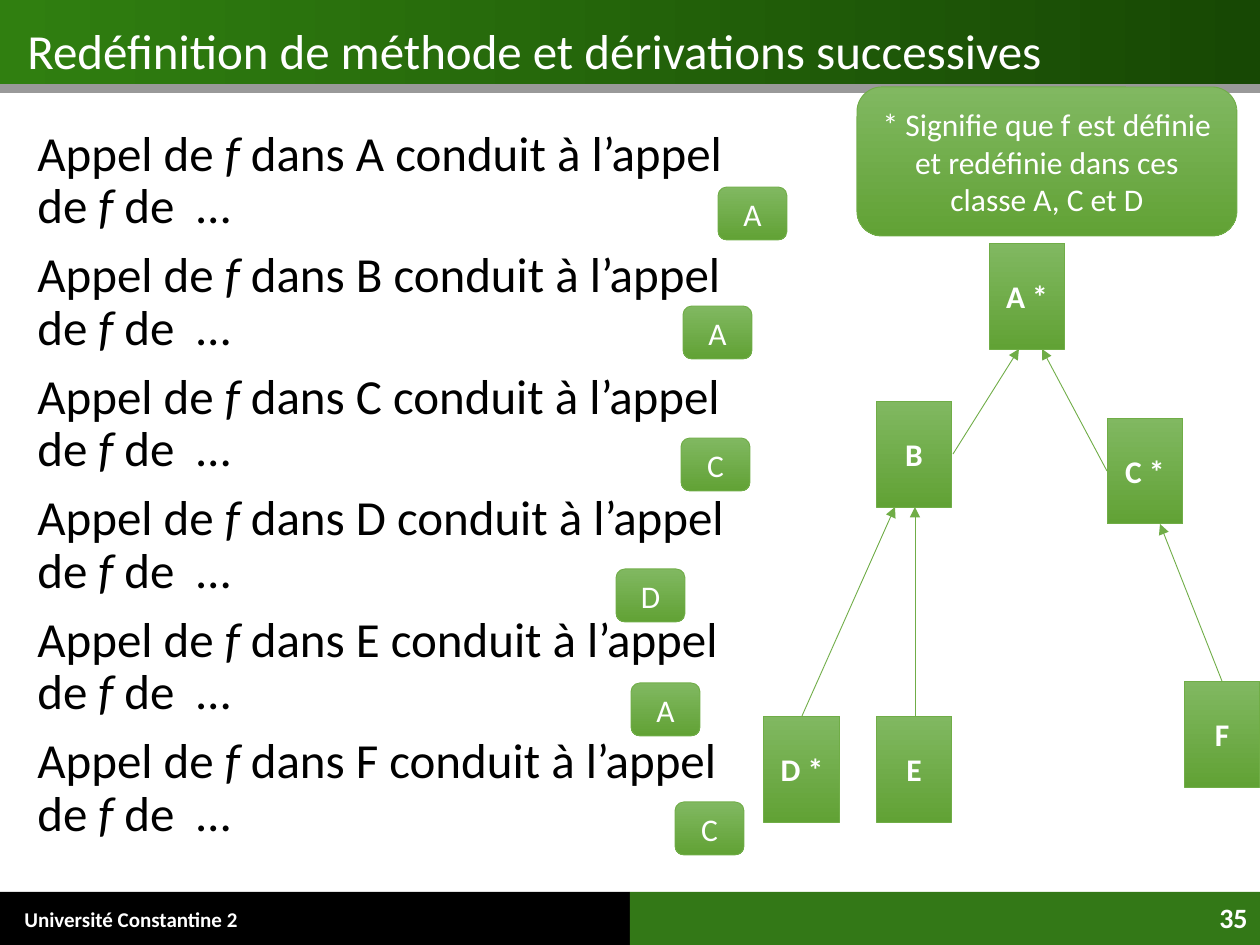
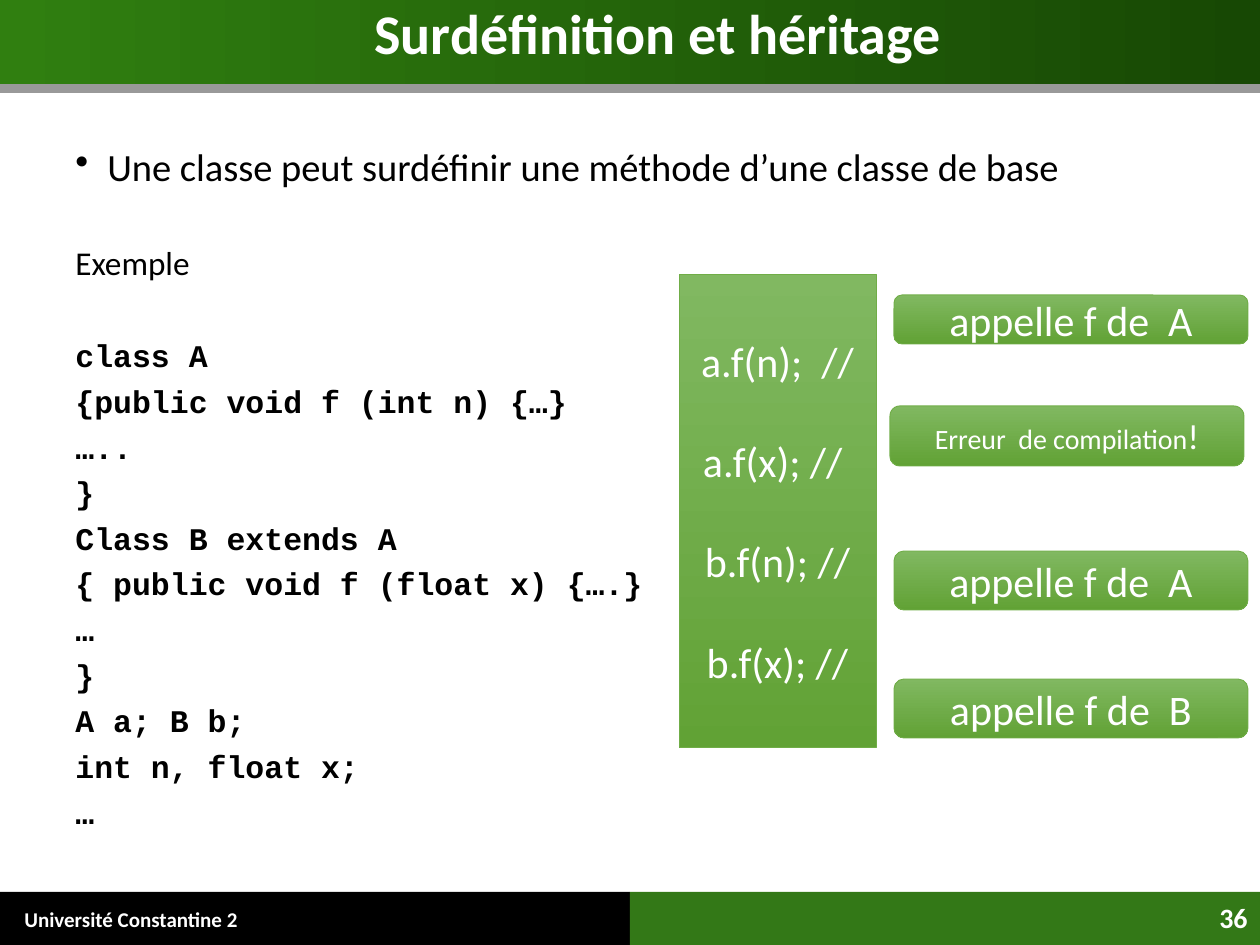
import dataclasses
import typing

import lxml.etree
import pptx
import pptx.dml.color
import pptx.enum.shapes
import pptx.enum.text
import pptx.oxml.ns
import pptx.util

RGBColor = pptx.dml.color.RGBColor
Align = pptx.enum.text.PP_ALIGN
Anchor = pptx.enum.text.MSO_ANCHOR
Shape = pptx.enum.shapes.MSO_SHAPE

PX_PER_INCH = 126
WHITE = RGBColor(0xFF, 0xFF, 0xFF)
BLACK = RGBColor(0x00, 0x00, 0x00)
BAND_DARK = RGBColor(0x17, 0x48, 0x04)
BAND_LIGHT = RGBColor(0x30, 0x7F, 0x10)
FOOTER_GREEN = RGBColor(0x33, 0x78, 0x17)
BOX_TOP = RGBColor(0x81, 0xB8, 0x61)
BOX_BOTTOM = RGBColor(0x61, 0xA2, 0x35)
BOX_LINE = RGBColor(0x70, 0xAD, 0x47)
SANS = "Calibri"
MONO = "Courier New"


class Box(typing.NamedTuple):
    x: int
    y: int
    w: int
    h: int


class Arrow(typing.NamedTuple):
    x1: int
    y1: int
    x2: int
    y2: int


@dataclasses.dataclass
class Run:
    text: str
    size: float = 18
    bold: bool = False
    italic: bool = False
    color: RGBColor = WHITE
    font: str = SANS


@dataclasses.dataclass
class Para:
    runs: list[Run]
    align: Align = Align.LEFT
    spacing: float = 1.0
    before: float = 0
    bullet: bool = False


@dataclasses.dataclass
class Label:
    box: Box
    runs: list[Run]


def px(n: float) -> int:
    return round(n * 914400 / PX_PER_INCH)


def add_bullet(p) -> None:
    ppr = p._p.get_or_add_pPr()
    ppr.set("marL", str(px(32)))
    ppr.set("indent", str(-px(32)))
    bu = lxml.etree.SubElement(ppr, pptx.oxml.ns.qn("a:buChar"))
    bu.set("char", "•")


def write(tf, paras: list[Para], anchor: Anchor) -> None:
    tf.word_wrap = True
    tf.vertical_anchor = anchor
    for i, para in enumerate(paras):
        p = tf.add_paragraph() if i else tf.paragraphs[0]
        p.alignment = para.align
        p.line_spacing = para.spacing
        if i:
            p.space_before = pptx.util.Pt(para.before)
        if para.bullet:
            add_bullet(p)
        for run in para.runs:
            r = p.add_run()
            r.text = run.text
            r.font.name = run.font
            r.font.size = pptx.util.Pt(run.size)
            r.font.bold = run.bold
            r.font.italic = run.italic
            r.font.color.rgb = run.color


def add_text(s, box: Box, paras: list[Para], anchor: Anchor = Anchor.TOP) -> None:
    sp = s.shapes.add_textbox(*map(px, box))
    write(sp.text_frame, paras, anchor)


def add_rect(s, box: Box, kind: Shape = Shape.RECTANGLE):
    sp = s.shapes.add_shape(kind, *map(px, box))
    sp.shadow.inherit = False
    sp.line.fill.background()
    return sp


def fill_gradient(sp, start: RGBColor, end: RGBColor, angle: int) -> None:
    sp.fill.gradient()
    sp.fill.gradient_angle = angle
    for stop, color in zip(sp.fill.gradient_stops, (start, end)):
        stop.color.rgb = color


def add_band(s) -> None:
    sp = add_rect(s, Box(0, 0, 1260, 84))
    fill_gradient(sp, BAND_DARK, BAND_LIGHT, 180)
    qn = pptx.oxml.ns.qn
    effects = sp._element.spPr.find(qn("a:effectLst"))
    shadow = lxml.etree.SubElement(effects, qn("a:outerShdw"), blurRad="0",
                                   dist=str(px(9)), dir="5400000", rotWithShape="0")
    color = lxml.etree.SubElement(shadow, qn("a:srgbClr"), val=str(BLACK))
    lxml.etree.SubElement(color, qn("a:alpha"), val="40000")


def add_green(s, box: Box, paras: list[Para], kind: Shape = Shape.ROUNDED_RECTANGLE) -> None:
    sp = add_rect(s, box, kind)
    fill_gradient(sp, BOX_TOP, BOX_BOTTOM, 270)
    sp.line.color.rgb = BOX_LINE
    sp.line.width = pptx.util.Pt(0.5)
    write(sp.text_frame, paras, Anchor.MIDDLE)


def add_label(s, label: Label, kind: Shape = Shape.ROUNDED_RECTANGLE) -> None:
    add_green(s, label.box, [Para(label.runs, Align.CENTER)], kind)


def add_arrow(s, arrow: Arrow) -> None:
    cx = s.shapes.add_connector(pptx.enum.shapes.MSO_CONNECTOR.STRAIGHT, *map(px, arrow))
    cx.line.color.rgb = BOX_LINE
    cx.line.width = pptx.util.Pt(0.5)
    qn = pptx.oxml.ns.qn
    lxml.etree.SubElement(cx.line._get_or_add_ln(), qn("a:headEnd"), type="triangle")
    lxml.etree.SubElement(cx._element.spPr, qn("a:effectLst"))


def add_page(prs, number: int, title_box: Box, title: Para):
    s = prs.slides.add_slide(prs.slide_layouts[6])
    for x, color in ((0, BLACK), (630, FOOTER_GREEN)):
        sp = add_rect(s, Box(x, 892, 630, 53))
        sp.fill.solid()
        sp.fill.fore_color.rgb = color
    add_band(s)
    add_text(s, Box(12, 894, 390, 51),
             [Para([Run("Université Constantine 2", 12, bold=True)])], Anchor.MIDDLE)
    add_text(s, Box(1113, 894, 147, 51), [Para([Run(str(number), 16, bold=True)], Align.RIGHT)])
    add_text(s, title_box, [title])
    return s


def call_para(cls: str) -> Para:
    parts = ["Appel de ", "f", f" dans {cls} conduit à l’appel de ", "f", " de  …"]
    runs = [Run(t, 28, italic=t == "f", color=BLACK) for t in parts]
    return Para(runs, spacing=0.89, before=9.6)


def build_redefinition(prs) -> None:
    s = add_page(prs, 35, Box(15, 21, 1230, 101),
                 Para([Run("Redéfinition de méthode et dérivations successives", 28)],
                      Align.JUSTIFY, 0.9))
    add_text(s, Box(25, 123, 745, 759), [call_para(c) for c in "ABCDEF"])

    classes = [("A *", 989, 243), ("B", 876, 401), ("C *", 1107, 418),
               ("F", 1184, 681), ("E", 876, 716), ("D *", 764, 716)]
    for name, x, y in classes:
        add_label(s, Label(Box(x, y, 76, 106), [Run(name, bold=True)]), Shape.RECTANGLE)
    arrows = [Arrow(1019, 349, 953, 454), Arrow(1042, 349, 1107, 471),
              Arrow(895, 507, 802, 716), Arrow(915, 507, 915, 716),
              Arrow(1160, 524, 1222, 681)]
    for arrow in arrows:
        add_arrow(s, arrow)

    answers = [("A", 718, 187), ("A", 683, 306), ("C", 681, 438),
               ("D", 616, 569), ("A", 631, 683), ("C", 675, 802)]
    for name, x, y in answers:
        add_label(s, Label(Box(x, y, 69, 53), [Run(name)]))
    note = "* Signifie que f est définie et redéfinie dans ces classe A, C et D"
    add_label(s, Label(Box(857, 87, 380, 149), [Run(note)]))


def build_overloading(prs) -> None:
    s = add_page(prs, 36, Box(91, 0, 1134, 89),
                 Para([Run("Surdéfinition et héritage", 32, bold=True)], Align.CENTER, 0.9))
    intro = "Une classe peut surdéfinir une méthode d’une classe de base"
    code = ["class A", "{public void f (int n) {…}", "…..", "}", "Class B extends A",
            "{ public void f (float x) {….}", "…", "}", "A a; B b;", "int n, float x;", "…"]
    paras = [Para([Run(intro, 22, color=BLACK)], spacing=0.8, bullet=True),
             Para([Run("Exemple", 19, color=BLACK)], spacing=0.8, before=35)]
    for i, line in enumerate(code):
        paras.append(Para([Run(line, bold=True, color=BLACK, font=MONO)],
                          spacing=0.8, before=8.8 if i else 35))
    add_text(s, Box(63, 146, 1134, 698), paras)

    calls = ["a.f(n);  //", "a.f(x); // ", "b.f(n); //", "b.f(x); //"]
    add_green(s, Box(679, 274, 197, 474),
              [Para([Run(c, 24)], Align.CENTER, before=28.5) for c in calls], Shape.RECTANGLE)
    results = [
        Label(Box(894, 295, 354, 49), [Run("appelle f de  A", 24)]),
        Label(Box(890, 406, 354, 60), [Run("Erreur  de compilation", 16), Run("!", 20)]),
        Label(Box(894, 551, 354, 59), [Run("appelle f de  A", 24)]),
        Label(Box(894, 679, 354, 59), [Run("appelle f de  B", 24)]),
    ]
    for result in results:
        add_label(s, result)


def main() -> None:
    prs = pptx.Presentation()
    prs.slide_width, prs.slide_height = px(1260), px(945)
    build_redefinition(prs)
    build_overloading(prs)
    prs.save("out.pptx")


if __name__ == "__main__":
    main()
